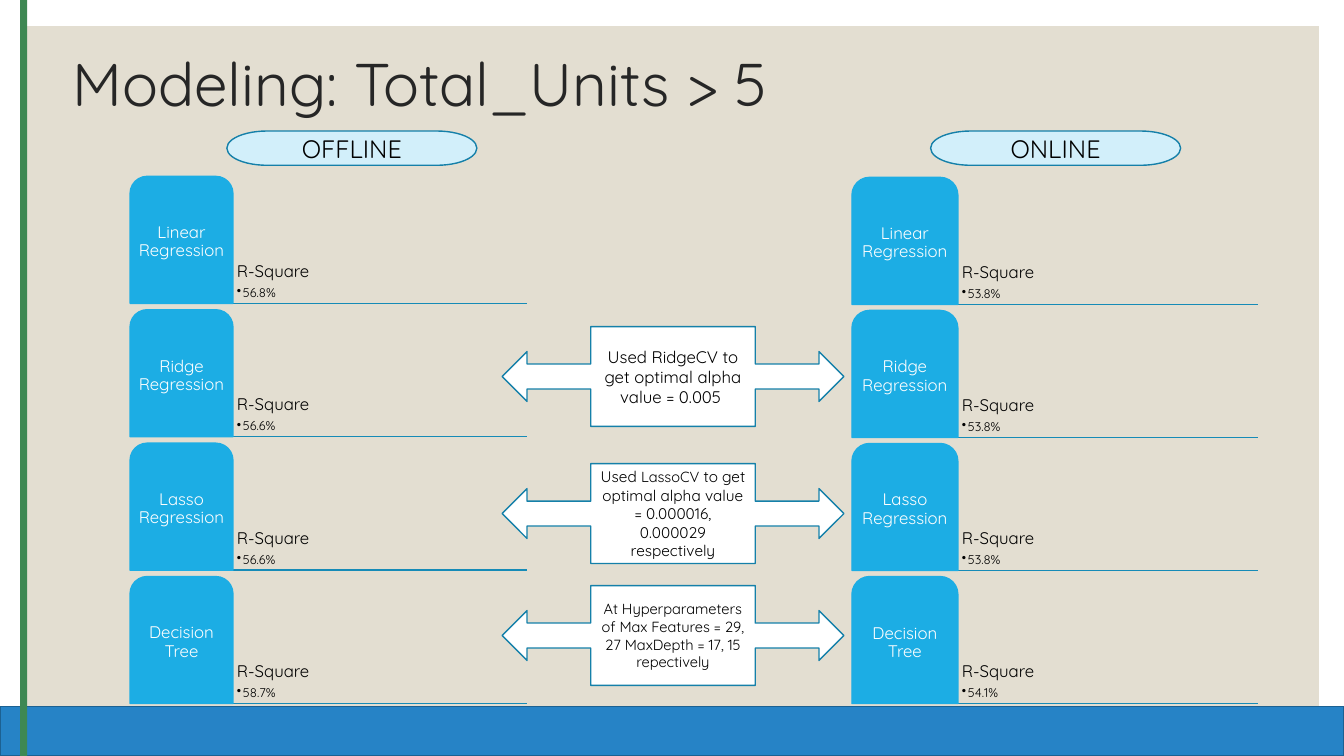
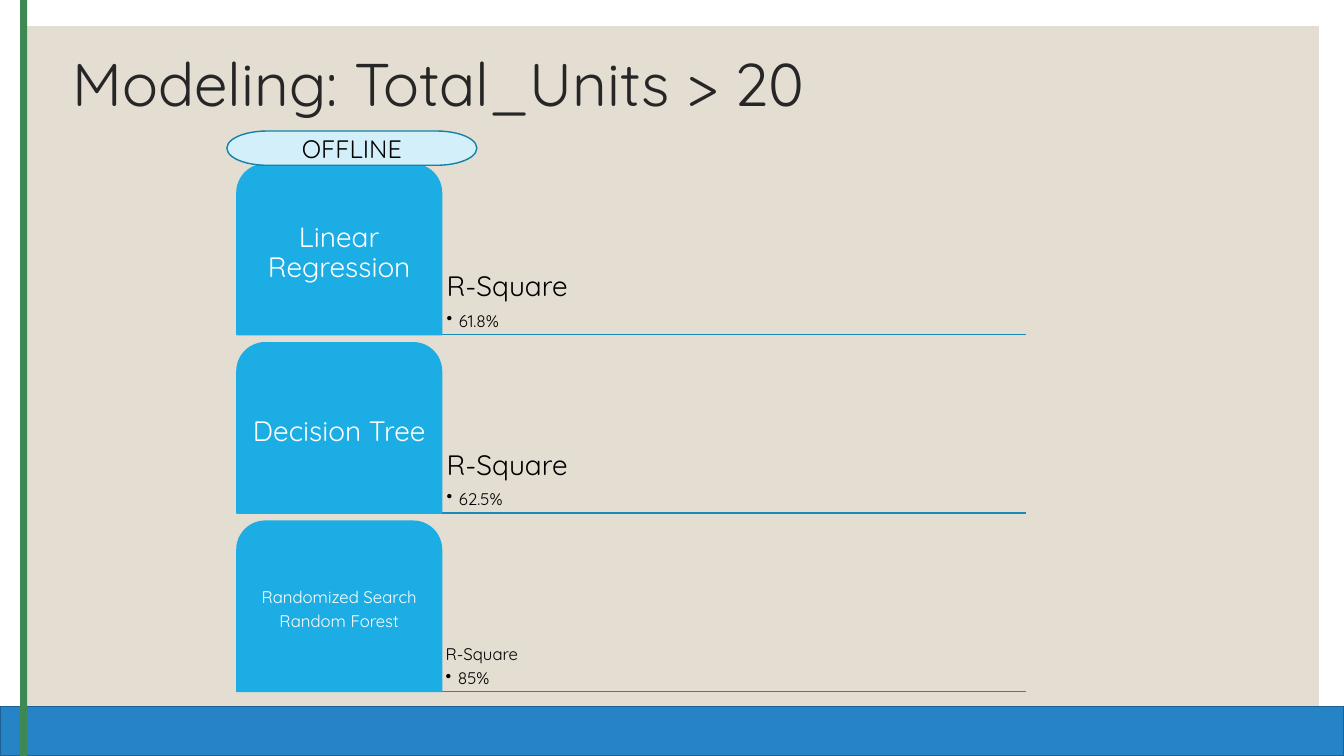
from dataclasses import dataclass

from lxml import etree
from pptx import Presentation
from pptx.dml.color import RGBColor
from pptx.enum.shapes import MSO_CONNECTOR, MSO_SHAPE
from pptx.enum.text import MSO_ANCHOR, MSO_AUTO_SIZE, PP_ALIGN
from pptx.oxml.ns import qn
from pptx.util import Inches, Pt

RECTANGLE = MSO_SHAPE.RECTANGLE
TAB = MSO_SHAPE.ROUND_2_SAME_RECTANGLE
CALLOUT = MSO_SHAPE.LEFT_RIGHT_ARROW_CALLOUT
PILL = MSO_SHAPE.FLOWCHART_TERMINATOR
STRAIGHT = MSO_CONNECTOR.STRAIGHT
LEFT, CENTER = PP_ALIGN.LEFT, PP_ALIGN.CENTER
TOP, MIDDLE, BOTTOM = MSO_ANCHOR.TOP, MSO_ANCHOR.MIDDLE, MSO_ANCHOR.BOTTOM
NO_AUTOFIT = MSO_AUTO_SIZE.NONE
TITLE_ONLY = 5


@dataclass(frozen=True)
class Theme:
    font: str = "Quicksand"
    panel: str = "E3DED1"
    footer: str = "2683C6"
    footer_edge: str = "1C6192"
    stripe: str = "3E8853"
    title: str = "262626"
    text: str = "000000"
    white: str = "FFFFFF"
    tab: str = "1CADE4"
    rule: str = "168BB7"
    edge: str = "1580A9"
    pill: str = "D2EFFA"
    title_size: float = 43
    channel_size: float = 18
    large_size: float = 20
    body_size: float = 12
    note_size: float = 11
    fine_size: float = 10.5
    small_size: float = 9


THEME = Theme()


@dataclass(frozen=True)
class Ladder:
    """Column of model tabs, spread evenly between top and bottom."""
    left: float
    top: float
    right: float
    bottom: float
    tab_width: float
    tab_height: float
    indent: float


@dataclass(frozen=True)
class Model:
    label: tuple
    score: str
    label_size: float = THEME.body_size
    score_size: float = THEME.small_size
    margin: float = 0.03


OFFLINE_LADDER = Ladder(1.29, 1.75, 5.23, 6.98, 1.02, 1.26, 0.06)
ONLINE_LADDER = Ladder(8.45, 1.76, 12.48, 6.98, 1.05, 1.26, 0.06)
WIDE_LADDER = Ladder(2.35, 1.63, 10.18, 6.86, 2.03, 1.69, 0.12)

MODEL_NAMES = ("Linear Regression", "Ridge Regression", "Lasso Regression", "Decision Tree")
OFFLINE_SCORES = ("56.8%", "56.6%", "56.6%", "58.7%")
ONLINE_SCORES = ("53.8%", "53.8%", "53.8%", "54.1%")

WIDE_MODELS = (
    Model(("Linear Regression",), "61.8%", THEME.large_size, THEME.body_size, 0.04),
    Model(("Decision Tree",), "62.5%", THEME.large_size, THEME.body_size, 0.04),
    Model(("Randomized Search", "Random Forest"), "85%", score_size=THEME.body_size),
)

# Each note: top, type size, paragraphs
TUNING_NOTES = (
    (3.24, THEME.body_size, ["Used RidgeCV to get optimal alpha value = 0.005 "]),
    (4.6, THEME.note_size, [
        [("Used ", THEME.note_size), ("LassoCV", THEME.fine_size),
         (" to get optimal alpha value = 0.000016,", THEME.note_size)],
        "0.000029",
        "respectively",
    ]),
    (5.81, THEME.fine_size, [
        "At Hyperparameters of Max Features = 29, 27 MaxDepth = 17, 15",
        "repectively",
    ]),
)


def rgb(value):
    return RGBColor.from_string(value)


# Text
def write(frame, paragraphs, *, size, color=THEME.text, align=LEFT, anchor=TOP,
          margins=(0.1, 0.05), line_spacing=None, after=0):
    """Fill a frame; a paragraph is a string or a list of (text, size) runs."""
    frame.word_wrap = True
    frame.auto_size = NO_AUTOFIT
    frame.vertical_anchor = anchor
    frame.margin_left = frame.margin_right = Inches(margins[0])
    frame.margin_top = frame.margin_bottom = Inches(margins[1])
    for index, content in enumerate(paragraphs):
        paragraph = frame.add_paragraph() if index else frame.paragraphs[0]
        paragraph.alignment = align
        paragraph.space_before = Pt(0)
        paragraph.space_after = Pt(after)
        if line_spacing:
            paragraph.line_spacing = line_spacing
        runs = [(content, size)] if isinstance(content, str) else content
        for text, run_size in runs:
            run = paragraph.add_run()
            run.text = text
            run.font.name = THEME.font
            run.font.size = Pt(run_size)
            run.font.color.rgb = rgb(color)


def add_bullet(paragraph, indent):
    paragraph.level = 1
    properties = paragraph.font._element.getparent()
    properties.set("marL", str(Inches(indent)))
    properties.set("indent", str(-Inches(indent)))
    bullet = etree.Element(qn("a:buChar"), char="•")
    properties.find(qn("a:defRPr")).addprevious(bullet)


# Shapes
def add_block(slide, kind, left, top, width, height, fill, edge=None):
    block = slide.shapes.add_shape(
        kind, Inches(left), Inches(top), Inches(width), Inches(height))
    block.shadow.inherit = False
    block.fill.solid()
    block.fill.fore_color.rgb = rgb(fill)
    if edge:
        block.line.color.rgb = rgb(edge)
        block.line.width = Pt(1)
    else:
        block.line.fill.background()
    return block


def add_rule(slide, left, right, y):
    rule = slide.shapes.add_connector(
        STRAIGHT, Inches(left), Inches(y), Inches(right), Inches(y))
    rule.line.color.rgb = rgb(THEME.rule)
    rule.line.width = Pt(1)
    etree.SubElement(rule.element.spPr, qn("a:effectLst"))


def add_channel(slide, name, left):
    pill = add_block(slide, PILL, left, 1.3, 2.48, 0.34, THEME.pill, THEME.edge)
    write(pill.text_frame, [name], size=THEME.channel_size, align=CENTER, anchor=MIDDLE)


def add_tuning_note(slide, top, size, paragraphs):
    note = add_block(slide, CALLOUT, 4.98, top, 3.39, 0.99, THEME.white, THEME.edge)
    write(note.text_frame, paragraphs, size=size, align=CENTER, anchor=MIDDLE)


def add_score(slide, ladder, top, model):
    left = ladder.left + ladder.tab_width + 0.01
    score = slide.shapes.add_textbox(
        Inches(left), Inches(top), Inches(ladder.right - left), Inches(ladder.tab_height))
    write(score.text_frame, ["R-Square", [(model.score, model.score_size)]],
          size=model.label_size, anchor=BOTTOM, margins=(model.margin, model.margin),
          line_spacing=0.9, after=0.35 * model.label_size)
    add_bullet(score.text_frame.paragraphs[1], ladder.indent)


def add_ladder(slide, ladder, models):
    pitch = (ladder.bottom - ladder.top - ladder.tab_height) / (len(models) - 1)
    for row, model in enumerate(models):
        top = ladder.top + row * pitch
        add_rule(slide, ladder.left, ladder.right, top + ladder.tab_height)
        add_score(slide, ladder, top, model)
        tab = add_block(slide, TAB, ladder.left, top, ladder.tab_width,
                        ladder.tab_height, THEME.tab, THEME.tab)
        write(tab.text_frame, model.label, size=model.label_size, color=THEME.white,
              align=CENTER, anchor=MIDDLE, margins=(model.margin, model.margin),
              line_spacing=0.9, after=0.35 * model.label_size)


# Shared slide frame
def move_bands_to_master(slide, master):
    bands = (
        add_block(slide, RECTANGLE, 0.26, 0.26, 12.82, 6.98, THEME.panel),
        add_block(slide, RECTANGLE, 0, 7.01, 13.33, 0.49, THEME.footer, THEME.footer_edge),
        add_block(slide, RECTANGLE, 0.2, 0, 0.07, 7.5, THEME.stripe),
    )
    for number, band in enumerate(bands, start=101):
        band.element.nvSpPr.cNvPr.set("id", str(number))
        master.element.cSld.spTree.append(band.element)


def add_titled_slide(deck, title):
    slide = deck.slides.add_slide(deck.slide_layouts[TITLE_ONLY])
    heading = slide.shapes.title
    heading.left, heading.top = Inches(0.62), Inches(0.49)
    heading.width, heading.height = Inches(11.59), Inches(1.1)
    write(heading.text_frame, [title], size=THEME.title_size, color=THEME.title,
          line_spacing=0.9)
    return slide


def main():
    deck = Presentation()
    deck.slide_width, deck.slide_height = Inches(13.33), Inches(7.5)

    # Over five units: both channels
    over_five = add_titled_slide(deck, "Modeling: Total_Units > 5")
    move_bands_to_master(over_five, deck.slide_master)
    for ladder, scores in ((OFFLINE_LADDER, OFFLINE_SCORES), (ONLINE_LADDER, ONLINE_SCORES)):
        models = [Model((name,), score) for name, score in zip(MODEL_NAMES, scores)]
        add_ladder(over_five, ladder, models)
    for top, size, paragraphs in TUNING_NOTES:
        add_tuning_note(over_five, top, size, paragraphs)
    add_channel(over_five, "OFFLINE", 2.25)
    add_channel(over_five, "ONLINE", 9.23)

    # Over twenty units: offline only
    over_twenty = add_titled_slide(deck, "Modeling: Total_Units > 20")
    add_ladder(over_twenty, WIDE_LADDER, WIDE_MODELS)
    add_channel(over_twenty, "OFFLINE", 2.25)

    deck.save("out.pptx")


main()
